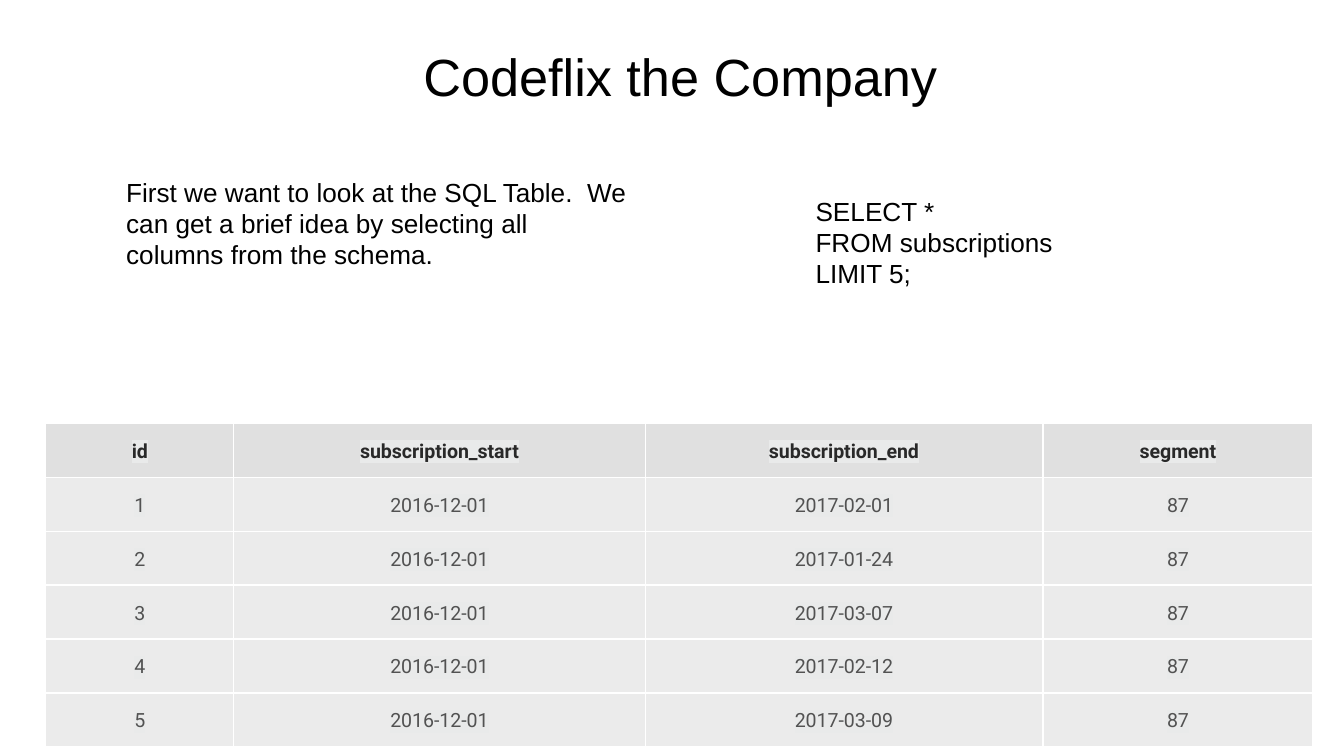
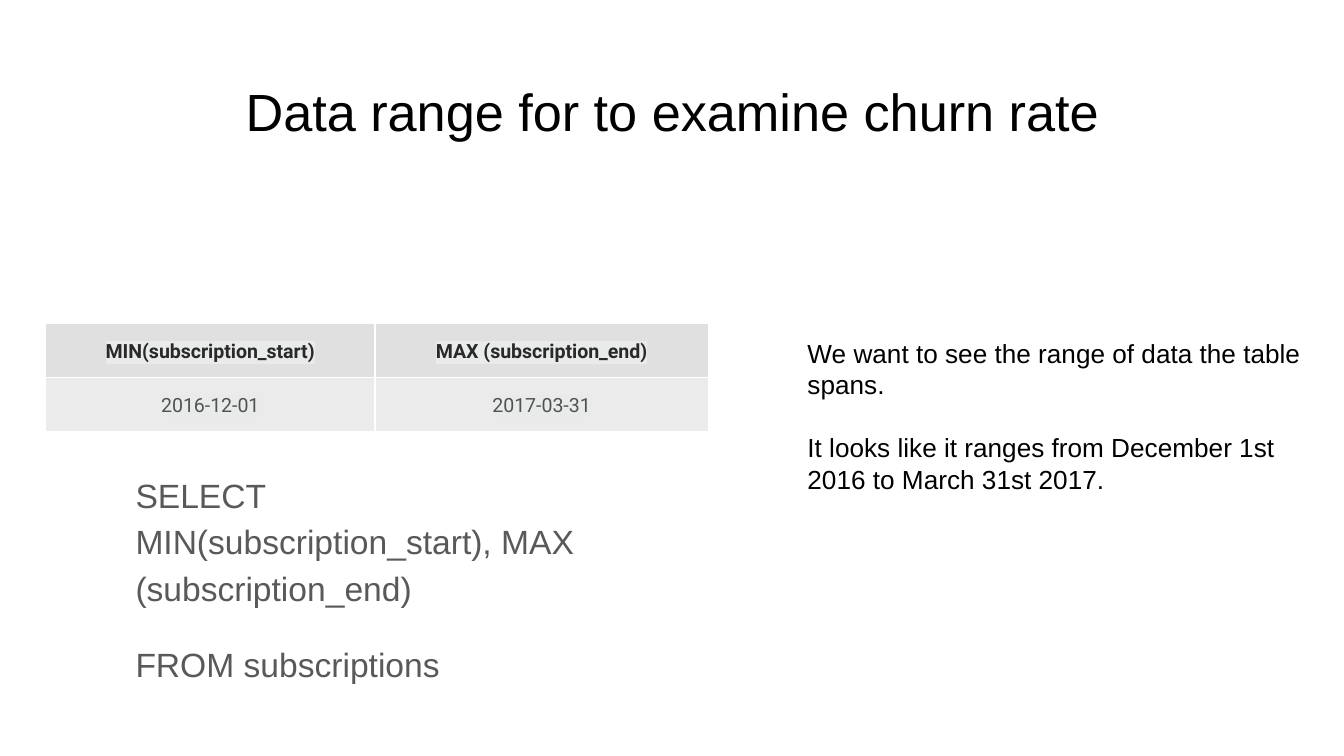
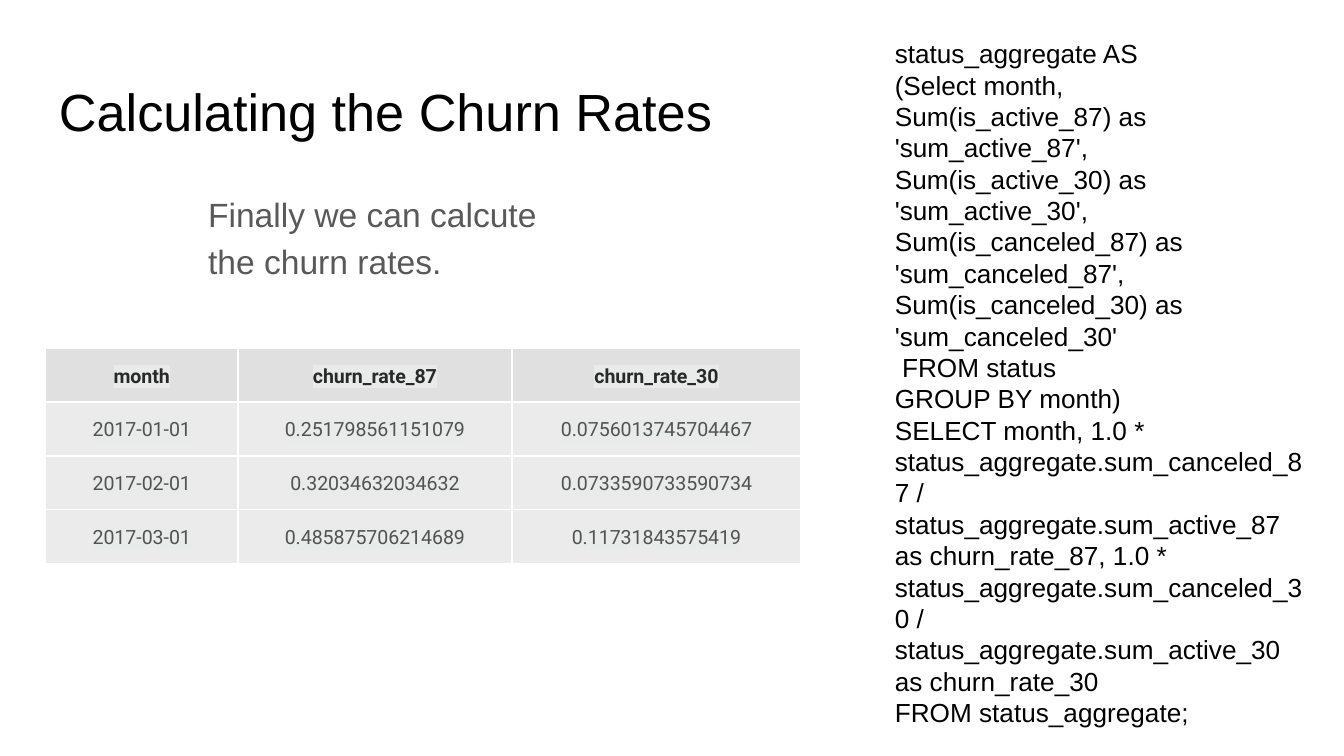
from dataclasses import dataclass

from lxml.etree import SubElement
from pptx import Presentation
from pptx.dml.color import RGBColor as Color
from pptx.enum.text import PP_ALIGN as Align
from pptx.oxml import parse_xml
from pptx.oxml.ns import nsdecls, qn
from pptx.util import Inches, Pt


@dataclass(frozen=True)
class Theme:
    text_font: str = "Arial"
    table_font: str = "Roboto"
    ink: str = "000000"
    body_ink: str = "595959"
    header_ink: str = "292929"
    cell_ink: str = "525252"
    header_fill: str = "E0E0E0"
    cell_fill: str = "EBEBEB"
    highlight: str = "E9EAEA"
    border: str = "FFFFFF"
    title_size: float = 28
    body_size: float = 18
    note_size: float = 14
    table_size: float = 10.5
    border_width: float = 0.75
    line_spacing: float = 1.15
    body_gap: float = 16
    note_gap: float = 17
    inset: float = 0.1
    table_left: float = 0.34
    row_height: float = 0.23


class DeckBuilder:
    def __init__(self, theme):
        self.theme = theme
        self.deck = Presentation()
        self.deck.slide_width = Inches(10)
        self.deck.slide_height = self.deck.slide_width * 9 // 16
        self.page = None

    def new_page(self):
        self.page = self.deck.slides.add_slide(self.deck.slide_layouts[6])

    def style_run(self, span, font, size, color, bold=False):
        span.font.name = font
        span.font.size = Pt(size)
        span.font.bold = bold
        span.font.color.rgb = Color.from_string(color)

    def text(self, area, lines, size, color, align=Align.LEFT, spacing=None, gap=0):
        box = self.page.shapes.add_textbox(*map(Inches, area))
        frame = box.text_frame
        frame.word_wrap = True
        inset = Inches(self.theme.inset)
        frame.margin_left = frame.margin_right = inset
        frame.margin_top = frame.margin_bottom = inset
        frame.text = "\n".join(lines)
        for index, para in enumerate(frame.paragraphs):
            para.alignment = align
            para.line_spacing = spacing
            if index and gap:
                para.space_before = Pt(gap)
            for span in para.runs:
                self.style_run(span, self.theme.text_font, size, color)

    def title(self, area, wording, align=Align.CENTER):
        self.text(area, [wording], self.theme.title_size, self.theme.ink, align)

    def note(self, area, lines, gap=0):
        self.text(area, lines, self.theme.note_size, self.theme.ink, gap=gap)

    def body(self, area, lines):
        self.text(area, lines, self.theme.body_size, self.theme.body_ink,
                  spacing=self.theme.line_spacing, gap=self.theme.body_gap)

    def table(self, top, widths, rows):
        theme = self.theme
        frame = self.page.shapes.add_table(
            len(rows), len(widths), Inches(theme.table_left), Inches(top),
            Inches(sum(widths)), Inches(theme.row_height * len(rows)))
        table = frame.table
        table.first_row = table.horz_banding = False
        for column, width in zip(table.columns, widths):
            column.width = Inches(width)
        for row_index, values in enumerate(rows):
            table.rows[row_index].height = Inches(theme.row_height)
            for column_index, value in enumerate(values):
                self.cell(table.cell(row_index, column_index), value, row_index == 0)

    def cell(self, cell, value, header):
        theme = self.theme
        inset = Inches(theme.inset)
        cell.margin_left = cell.margin_right = inset
        cell.margin_top = cell.margin_bottom = inset
        cell.fill.solid()
        fill = theme.header_fill if header else theme.cell_fill
        cell.fill.fore_color.rgb = Color.from_string(fill)
        self.cell_borders(cell)
        cell.text_frame.text = value
        para = cell.text_frame.paragraphs[0]
        para.alignment = Align.CENTER
        para.line_spacing = theme.line_spacing
        span = para.runs[0]
        color = theme.header_ink if header else theme.cell_ink
        self.style_run(span, theme.table_font, theme.table_size, color, header)
        self.highlight(span)

    def cell_borders(self, cell):
        properties = cell._tc.get_or_add_tcPr()
        for index, side in enumerate(("lnL", "lnR", "lnT", "lnB")):
            properties.insert(index, parse_xml(
                f'<a:{side} {nsdecls("a")} w="{Pt(self.theme.border_width)}">'
                f'<a:solidFill><a:srgbClr val="{self.theme.border}"/></a:solidFill>'
                f'</a:{side}>'))

    def highlight(self, span):
        properties = span._r.get_or_add_rPr()
        mark = SubElement(properties, qn("a:highlight"))
        SubElement(mark, qn("a:srgbClr")).set("val", self.theme.highlight)
        properties.find(qn("a:latin")).addprevious(mark)


def company_page(builder):
    builder.new_page()
    builder.title((0.4, 0.23, 9.32, 0.63), "Codeflix the Company")
    end_dates = ["2017-02-01", "2017-01-24", "2017-03-07", "2017-02-12", "2017-03-09"]
    header = ["id", "subscription_start", "subscription_end", "segment"]
    subscriptions = [[str(number), "2016-12-01", end_date, "87"]
                     for number, end_date in enumerate(end_dates, 1)]
    builder.table(3.15, [1.4, 3.06, 2.96, 2.01], [header, *subscriptions])
    builder.note((5.97, 1.35, 3.04, 1.31),
                 ["SELECT *", "FROM subscriptions", "LIMIT 5;"])
    builder.note((0.84, 1.21, 3.95, 1.31), [
        "First we want to look at the SQL Table.  We can get a brief idea "
        "by selecting all columns from the schema."])


def date_range_page(builder):
    builder.new_page()
    builder.title((0.34, 0.49, 9.32, 0.63), "Data range for to examine churn rate")
    builder.body((0.91, 3.39, 3.78, 2.16), [
        "SELECT MIN(subscription_start), MAX (subscription_end)",
        "FROM subscriptions"])
    builder.table(2.41, [2.45, 2.48], [
        ["MIN(subscription_start)", "MAX (subscription_end)"],
        ["2016-12-01", "2017-03-31"]])
    builder.note((5.91, 2.41, 3.87, 2.64), [
        "We want to see the range of data the table spans.",
        "It looks like it ranges from December 1st 2016 to March 31st 2017."],
        gap=builder.theme.note_gap)


def churn_rate_page(builder):
    builder.new_page()
    builder.title((0.34, 0.49, 5.12, 0.63), "Calculating the Churn Rates", Align.LEFT)
    builder.body((1.45, 1.3, 2.91, 0.92), ["Finally we can calcute the churn rates."])
    builder.table(2.59, [1.43, 2.04, 2.15], [
        ["month", "churn_rate_87", "churn_rate_30"],
        ["2017-01-01", "0.251798561151079", "0.0756013745704467"],
        ["2017-02-01", "0.32034632034632", "0.0733590733590734"],
        ["2017-03-01", "0.485875706214689", "0.11731843575419"]])
    sums = [f"Sum(is_{state}_{segment}) as 'sum_{state}_{segment}'"
            for state in ("active", "canceled") for segment in (87, 30)]
    rates = [f"1.0 * status_aggregate.sum_canceled_{segment} / "
             f"status_aggregate.sum_active_{segment} as churn_rate_{segment}"
             for segment in (87, 30)]
    builder.note((6.56, 0.18, 3.3, 5.27), [
        "status_aggregate AS",
        "(Select month,",
        ",\n".join(sums),
        " FROM status",
        "GROUP BY month)",
        "SELECT month, " + ", ".join(rates),
        "FROM status_aggregate;"])


def main():
    builder = DeckBuilder(Theme())
    company_page(builder)
    date_range_page(builder)
    churn_rate_page(builder)
    builder.deck.save("out.pptx")


if __name__ == "__main__":
    main()
